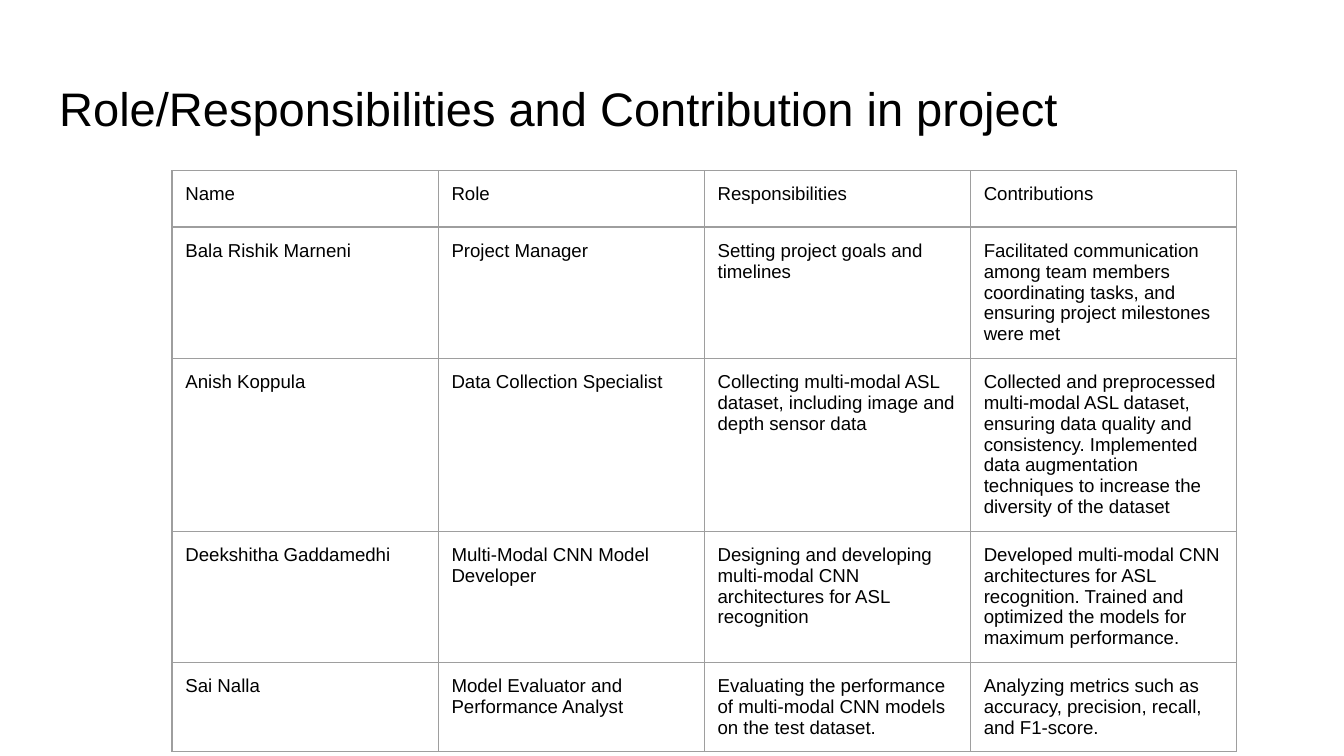
from lxml import etree
from pptx import Presentation
from pptx import util as u
from pptx.dml.color import RGBColor
from pptx.enum import text
from pptx.oxml import ns

COLORS = {"ink": "000000", "paper": "FFFFFF", "rule": "9E9E9E"}
WIDE = u.Inches(10)
PAD = {f"margin_{side}": u.Inches(0.1) for side in ("left", "right", "top", "bottom")}
ROWS = [
    ("Name", "Role", "Responsibilities", "Contributions"),
    ("Bala Rishik Marneni", "Project Manager",
     "Setting project goals and timelines",
     "Facilitated communication among team members coordinating tasks, "
     "and ensuring project milestones were met"),
    ("Anish Koppula", "Data Collection Specialist",
     "Collecting multi-modal ASL dataset, including image and depth sensor data",
     "Collected and preprocessed multi-modal ASL dataset, ensuring data quality "
     "and consistency. Implemented data augmentation techniques to increase "
     "the diversity of the dataset"),
    ("Deekshitha Gaddamedhi", "Multi-Modal CNN Model Developer",
     "Designing and developing multi-modal CNN architectures for ASL recognition",
     "Developed multi-modal CNN architectures for ASL recognition. "
     "Trained and optimized the models for maximum performance."),
    ("Sai Nalla", "Model Evaluator and Performance Analyst",
     "Evaluating the performance of multi-modal CNN models on the test dataset.",
     "Analyzing metrics such as accuracy, precision, recall, and F1-score."),
]


def apply(target, values):
    """Set each named attribute on the target."""
    for name, value in values.items():
        setattr(target, name, value)


def write(frame, words, size):
    """Fill a text frame with one left-aligned Arial run."""
    para = frame.paragraphs[0]
    para.alignment = text.PP_ALIGN.LEFT
    run = para.add_run()
    run.text = words
    apply(run.font, {"name": "Arial", "size": u.Pt(size), "bold": False})
    run.font.color.rgb = RGBColor.from_string(COLORS["ink"])


def rule(cell):
    """Draw a thin line on all four sides of a cell."""
    props = cell._tc.get_or_add_tcPr()
    for spot, side in enumerate(("lnL", "lnR", "lnT", "lnB")):
        line = etree.Element(ns.qn(f"a:{side}"), w=str(u.Pt(0.75)))
        fill = etree.SubElement(line, ns.qn("a:solidFill"))
        etree.SubElement(fill, ns.qn("a:srgbClr"), val=COLORS["rule"])
        props.insert(spot, line)


def add_title(slide, box, words):
    """Place the title in its box."""
    title = slide.shapes.title
    apply(title, dict(zip(("left", "top", "width", "height"), map(u.Inches, box))))
    apply(title.text_frame, {
        **PAD, "word_wrap": True, "auto_size": text.MSO_AUTO_SIZE.NONE,
        "vertical_anchor": text.MSO_ANCHOR.TOP})
    write(title.text_frame, words, 25.2)


def add_roles(slide, box, rows):
    """Place the table of team roles with equal columns and rows."""
    table = slide.shapes.add_table(len(rows), len(rows[0]), *map(u.Inches, box)).table
    apply(table, {"first_row": False, "horz_banding": False})
    for r, row in enumerate(rows):
        for c, words in enumerate(row):
            cell = table.cell(r, c)
            apply(cell, {**PAD, "vertical_anchor": text.MSO_ANCHOR.TOP})
            cell.fill.background()
            write(cell.text_frame, words, 10)
            rule(cell)


def main():
    """Build and save the slide."""
    deck = Presentation()
    apply(deck, {"slide_width": WIDE, "slide_height": WIDE * 9 // 16})
    slide = deck.slides.add_slide(deck.slide_layouts[5])
    fill = slide.background.fill
    fill.solid()
    fill.fore_color.rgb = RGBColor.from_string(COLORS["paper"])
    add_title(slide, (0.34, 0.49, 9.32, 0.63),
              "Role/Responsibilities and Contribution in project")
    add_roles(slide, (1.28, 1.27, 7.92, 0.42 * len(ROWS)), ROWS)
    deck.save("out.pptx")


if __name__ == "__main__":
    main()
